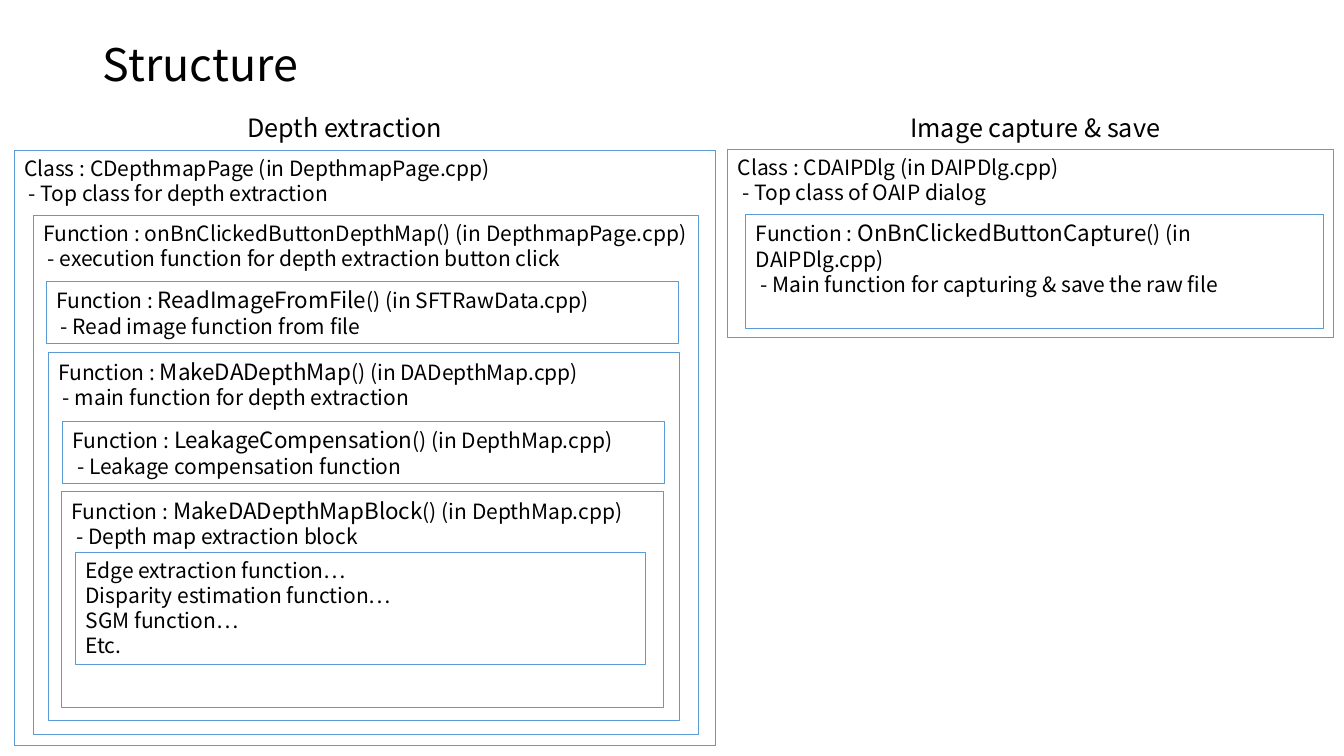
from pptx import Presentation
from pptx import util as u
from pptx.dml import color
from pptx.enum import shapes, text
from pptx.oxml import ns
from lxml import etree

BLACK = color.RGBColor(0x00, 0x00, 0x00)
BLUE = color.RGBColor(0x5B, 0x9B, 0xD5)
FONT = "Noto Sans CJK KR"
CELL = u.Inches(0.1)
COLUMNS, ROWS = 133.33, 75
BODY_SIZE, NAME_SIZE, HEADING_SIZE, TITLE_SIZE = 15, 16, 18, 32

HEADINGS = [
    (13.5, "Depth extraction"),
    (82, "Image capture & save"),
]

CODE_BOXES = [
    ((1.4, 14.9, 69.6, 59.1),
     ["Class : CDepthmapPage (in DepthmapPage.cpp)",
      " - Top class for depth extraction"]),
    ((3.3, 21.4, 66, 51.5),
     ["Function : onBnClickedButtonDepthMap() (in DepthmapPage.cpp)",
      " - execution function for depth extraction button click"]),
    ((4.6, 27.9, 62.7, 6.2),
     ["Function : |ReadImageFromFile|() (in SFTRawData.cpp)",
      " - Read image function from file"]),
    ((4.8, 35, 62.6, 36.5),
     ["Function : |MakeDADepthMap|() (in DADepthMap.cpp)",
      " - main function for depth extraction"]),
    ((6.2, 41.8, 59.7, 6.2),
     ["Function : |LeakageCompensation|() (in DepthMap.cpp)",
      " - Leakage compensation function"]),
    ((6.1, 48.8, 59.7, 21.4),
     ["Function : |MakeDADepthMapBlock|() (in DepthMap.cpp)",
      " - Depth map extraction block"]),
    ((7.5, 54.8, 56.5, 11.1),
     ["Edge extraction function…",
      "Disparity estimation function…",
      "SGM function…",
      "Etc."]),
    ((72.2, 14.8, 60.1, 18.7),
     ["Class : CDAIPDlg (in DAIPDlg.cpp)",
      " - Top class of OAIP dialog"]),
    ((74, 21.3, 57.3, 11.3),
     ["Function : |OnBnClickedButtonCapture|() (in DAIPDlg.cpp)",
      " - Main function for capturing & save the raw file"]),
]


def grid(*cells):
    return [round(cell * CELL) for cell in cells]


def format_run(run, size):
    run.font.size = u.Pt(size)
    run.font.name = FONT
    run.font.color.rgb = BLACK
    east_asian = etree.SubElement(run.font._element, ns.qn("a:ea"))
    east_asian.set("typeface", FONT)


def format_paragraph(paragraph, size, alignment):
    paragraph.alignment = alignment
    for run in paragraph.runs:
        format_run(run, size)


def add_title(slide, title):
    shape = slide.shapes.title
    shape.left, shape.top, shape.width, shape.height = grid(9.2, 4, 115, 5.2)
    frame = shape.text_frame
    frame.text = title
    frame.vertical_anchor = text.MSO_ANCHOR.MIDDLE
    frame.auto_size = text.MSO_AUTO_SIZE.NONE
    paragraph = frame.paragraphs[0]
    paragraph.line_spacing = 0.9
    format_paragraph(paragraph, TITLE_SIZE, text.PP_ALIGN.LEFT)


def add_heading(slide, column, heading):
    box = slide.shapes.add_textbox(*grid(column, 10.7, 41.4, 4))
    frame = box.text_frame
    frame.word_wrap = True
    frame.text = heading
    format_paragraph(frame.paragraphs[0], HEADING_SIZE, text.PP_ALIGN.CENTER)


def add_code_box(slide, area, lines):
    box = slide.shapes.add_shape(shapes.MSO_SHAPE.RECTANGLE, *grid(*area))
    box.shadow.inherit = False
    box.fill.background()
    box.line.color.rgb = BLUE
    box.line.width = u.Pt(0.75)
    frame = box.text_frame
    frame.word_wrap = True
    frame.vertical_anchor = text.MSO_ANCHOR.TOP
    frame.text = "\n".join(lines)
    for paragraph, line in zip(frame.paragraphs, lines):
        first, *rest = line.split("|")
        paragraph.runs[0].text = first
        for part in rest:
            paragraph.add_run().text = part
        format_paragraph(paragraph, BODY_SIZE, text.PP_ALIGN.LEFT)
        for name in paragraph.runs[1::2]:
            name.font.size = u.Pt(NAME_SIZE)


def main():
    presentation = Presentation()
    presentation.slide_width, presentation.slide_height = grid(COLUMNS, ROWS)
    slide = presentation.slides.add_slide(presentation.slide_layouts[5])
    add_title(slide, "Structure")
    for area, lines in CODE_BOXES:
        add_code_box(slide, area, lines)
    for column, heading in HEADINGS:
        add_heading(slide, column, heading)
    presentation.save("out.pptx")


if __name__ == "__main__":
    main()
